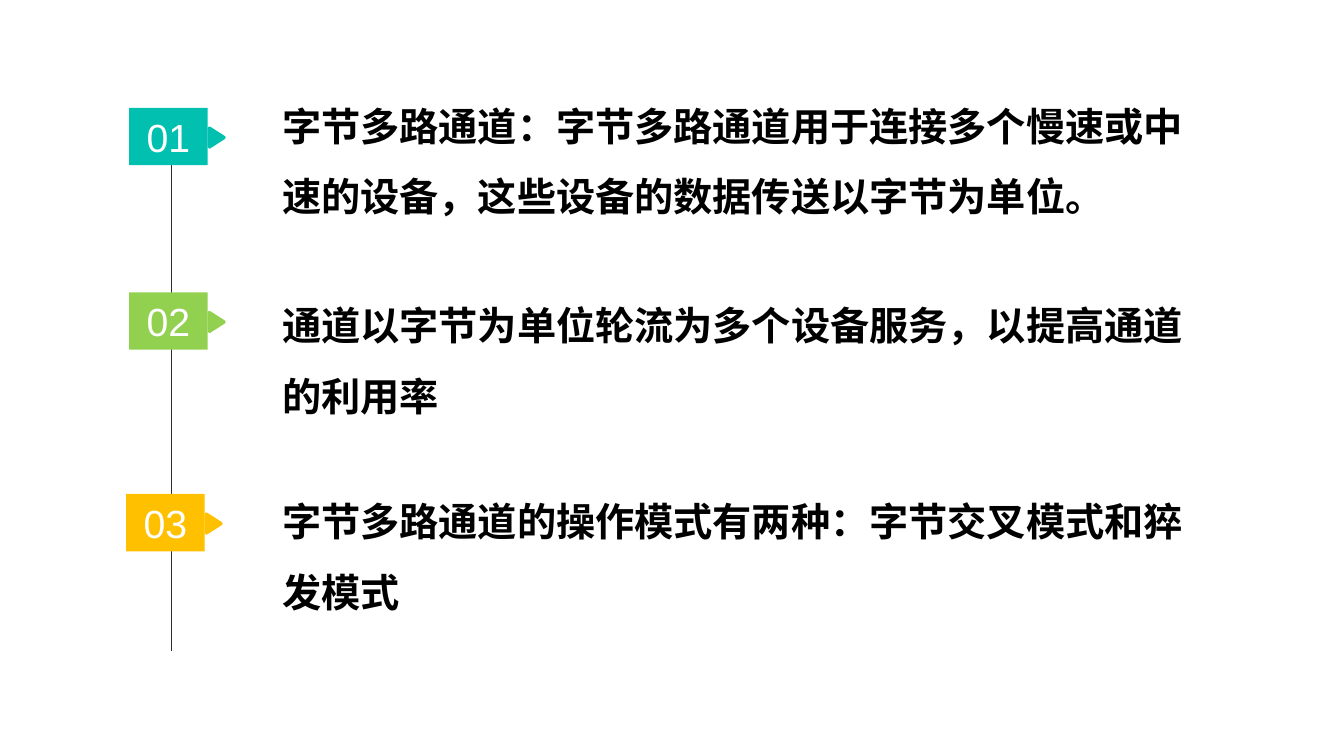
from dataclasses import dataclass

import pptx
import pptx.dml.color
import pptx.enum.shapes
import pptx.enum.text
import pptx.oxml.ns
import pptx.presentation
import pptx.shapes.base
import pptx.slide
import pptx.text.text
import pptx.util
from lxml import etree

EMU_PER_PX = 9144  # 100 px to the inch
Point = tuple[int, int]


@dataclass(frozen=True)
class Theme:
    teal: str = "01C0B0"
    green: str = "92D050"
    amber: str = "FFC000"
    line: str = "2E2C2C"
    text: str = "000000"
    label: str = "FFFFFF"
    label_font: str = "Arial"
    text_font: str = "Noto Sans CJK SC"
    size: int = 28
    line_width: int = 1


@dataclass(frozen=True)
class Item:
    number: str
    color: str
    left: int
    top: int
    text_top: int
    text: str


THEME = Theme()
TAG_WIDTH, TAG_HEIGHT = 78, 57
POINTER_DROP = 18
TEXT_LEFT, TEXT_WIDTH, TEXT_HEIGHT = 270, 925, 151
TIMELINE_X, TIMELINE_TOP, TIMELINE_BOTTOM = 170, 135, 646

ITEMS = [
    Item("01", THEME.teal, 128, 107, 73,
         "字节多路通道：字节多路通道用于连接多个慢速或中速的设备，这些设备的数据传送以字节为单位。"),
    Item("02", THEME.green, 128, 290, 271,
         "通道以字节为单位轮流为多个设备服务，以提高通道的利用率"),
    Item("03", THEME.amber, 125, 490, 465,
         "字节多路通道的操作模式有两种：字节交叉模式和猝发模式"),
]

# Each rounded corner of the pointer is a cubic curve.
POINTER_CORNERS: list[tuple[Point, Point, Point, Point]] = [
    ((3, 1), (1, 0), (0, 1), (0, 3)),
    ((0, 20), (0, 22), (2, 23), (3, 22)),
    ((17, 13), (18, 12), (18, 11), (17, 10)),
]
CURVE_STEPS = 6
FINE = 10  # pointer units per px


def px(length: int) -> pptx.util.Emu:
    return pptx.util.Emu(length * EMU_PER_PX)


def rgb(color: str) -> pptx.dml.color.RGBColor:
    return pptx.dml.color.RGBColor.from_string(color)


def fill_plain(shape: pptx.shapes.base.BaseShape, color: str) -> None:
    shape.shadow.inherit = False
    shape.fill.solid()
    shape.fill.fore_color.rgb = rgb(color)
    shape.line.fill.background()


def style_paragraph(para: pptx.text.text._Paragraph, font: str, color: str) -> None:
    para.font.name = font
    para.font.size = pptx.util.Pt(THEME.size)
    para.font.color.rgb = rgb(color)


def curve_point(corner: tuple[Point, Point, Point, Point], t: float) -> tuple[float, float]:
    weights = ((1 - t) ** 3, 3 * t * (1 - t) ** 2, 3 * t ** 2 * (1 - t), t ** 3)
    return (sum(w * x for w, (x, _) in zip(weights, corner)),
            sum(w * y for w, (_, y) in zip(weights, corner)))


def draw_timeline(page: pptx.slide.Slide) -> None:
    line = page.shapes.add_connector(
        pptx.enum.shapes.MSO_CONNECTOR.STRAIGHT,
        px(TIMELINE_X), px(TIMELINE_TOP), px(TIMELINE_X), px(TIMELINE_BOTTOM))
    line.line.color.rgb = rgb(THEME.line)
    line.line.width = pptx.util.Pt(THEME.line_width)
    etree.SubElement(line._element.spPr, pptx.oxml.ns.qn("a:effectLst"))


def draw_pointer(page: pptx.slide.Slide, item: Item) -> None:
    left, top = item.left + TAG_WIDTH, item.top + POINTER_DROP
    outline = [
        ((left + x) * FINE, (top + y) * FINE)
        for corner in POINTER_CORNERS
        for x, y in (curve_point(corner, step / CURVE_STEPS)
                     for step in range(CURVE_STEPS + 1))
    ]
    builder = page.shapes.build_freeform(*outline[0], scale=EMU_PER_PX / FINE)
    builder.add_line_segments(outline[1:], close=True)
    fill_plain(builder.convert_to_shape(), item.color)


def draw_tag(page: pptx.slide.Slide, item: Item) -> None:
    box = page.shapes.add_shape(
        pptx.enum.shapes.MSO_SHAPE.RECTANGLE,
        px(item.left), px(item.top), px(TAG_WIDTH), px(TAG_HEIGHT))
    fill_plain(box, item.color)
    para = box.text_frame.paragraphs[0]
    para.text = item.number
    para.alignment = pptx.enum.text.PP_ALIGN.CENTER
    style_paragraph(para, THEME.label_font, THEME.label)


def draw_text(page: pptx.slide.Slide, item: Item) -> None:
    box = page.shapes.add_textbox(
        px(TEXT_LEFT), px(item.text_top), px(TEXT_WIDTH), px(TEXT_HEIGHT))
    box.text_frame.word_wrap = True
    para = box.text_frame.paragraphs[0]
    para.text = item.text
    para.line_spacing = 1.5
    style_paragraph(para, THEME.text_font, THEME.text)
    para.font.bold = True
    east_asian = etree.SubElement(para.font._element, pptx.oxml.ns.qn("a:ea"))
    east_asian.set("typeface", THEME.text_font)


def main() -> None:
    deck = pptx.Presentation()
    deck.slide_width, deck.slide_height = px(1333), px(750)
    page = deck.slides.add_slide(deck.slide_layouts.get_by_name("Blank"))
    draw_timeline(page)
    for item in ITEMS:
        draw_pointer(page, item)
        draw_tag(page, item)
        draw_text(page, item)
    deck.save("out.pptx")


if __name__ == "__main__":
    main()
